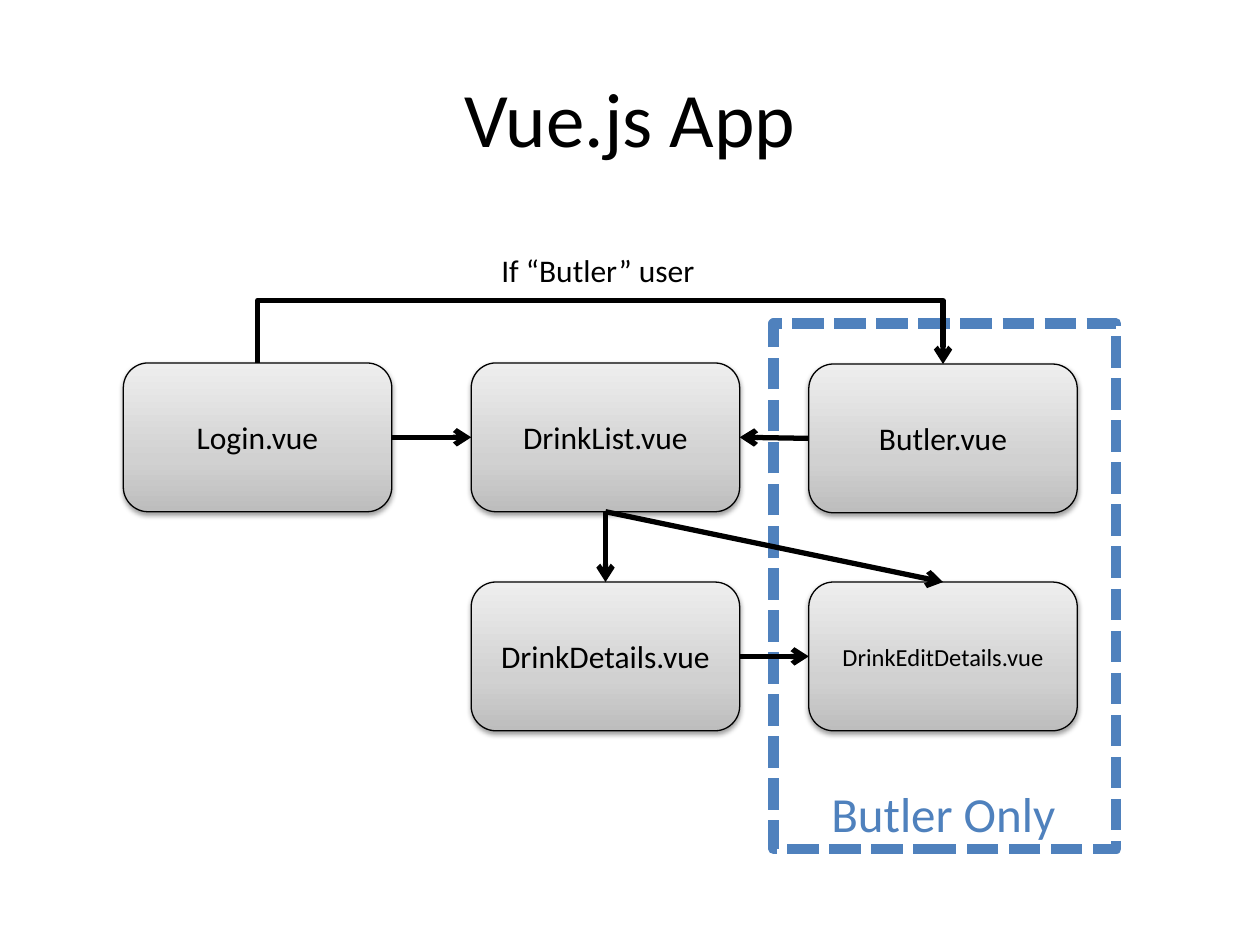
import dataclasses

import lxml.etree
import pptx
import pptx.dml.color
import pptx.enum.dml
import pptx.enum.shapes
import pptx.enum.text
import pptx.oxml.ns
import pptx.slide
import pptx.util

Pt = pptx.util.Pt
Shape = pptx.enum.shapes.MSO_SHAPE
Link = pptx.enum.shapes.MSO_CONNECTOR
Align = pptx.enum.text.PP_ALIGN
TOP, LEFT, BASE, RIGHT = range(4)  # connection sites of a box


def paint(code):
    return pptx.dml.color.RGBColor.from_string(code)


def add(node, tag, **attrs):
    """Append a drawing element and return it."""
    return lxml.etree.SubElement(node, pptx.oxml.ns.qn("a:" + tag), attrs)


@dataclasses.dataclass
class Chart:
    """The style and the current slide."""
    slide: pptx.slide.Slide
    font: str = "Calibri"
    ink: str = "000000"
    blue: str = "4F81BD"
    shades: tuple = ((0, "BDBDBD"), (35, "D1D1D1"), (100, "EEEEEE"))
    wide: float = 153.4
    high: float = 85

    def text(self, frame, words, size, color=None, align=Align.CENTER):
        para = frame.paragraphs[0]
        para.alignment = align
        run = para.add_run()
        run.text = words
        run.font.name = self.font
        run.font.size = Pt(size)
        run.font.color.rgb = paint(color or self.ink)

    def title(self, words):
        head = self.slide.shapes.title
        head.left, head.top, head.width, head.height = map(Pt, (36, 21.6, 648, 90))
        head.text_frame.vertical_anchor = pptx.enum.text.MSO_ANCHOR.MIDDLE
        self.text(head.text_frame, words, 44)

    def label(self, words, left, top, wide, high, size, color=None):
        box = self.slide.shapes.add_textbox(*map(Pt, (left, top, wide, high)))
        box.text_frame.word_wrap = False
        box.text_frame.auto_size = pptx.enum.text.MSO_AUTO_SIZE.SHAPE_TO_FIT_TEXT
        self.text(box.text_frame, words, size, color, Align.LEFT)

    def zone(self, left, top, wide, high):
        area = self.slide.shapes.add_shape(
            Shape.RECTANGLE, *map(Pt, (left, top, wide, high)))
        area.shadow.inherit = False
        area.fill.background()
        area.line.color.rgb = paint(self.blue)
        area.line.width = Pt(6)
        area.line.dash_style = pptx.enum.dml.MSO_LINE.SQUARE_DOT

    def box(self, words, left, top, size=18):
        node = self.slide.shapes.add_shape(
            Shape.ROUNDED_RECTANGLE, *map(Pt, (left, top, self.wide, self.high)))
        # Grey gradient, dark at the bottom
        node.fill.gradient()
        node.fill.gradient_angle = 90
        props = node._element.spPr
        stops = props.find(".//" + pptx.oxml.ns.qn("a:gsLst"))
        for stop in list(stops):
            stops.remove(stop)
        for place, shade in self.shades:
            stop = add(stops, "gs", pos=str(place * 1000))
            add(stop, "srgbClr", val=shade)
        node.line.color.rgb = paint(self.ink)
        node.line.width = Pt(0.75)
        # Soft shadow below
        node.shadow.inherit = False
        effects = props.find(pptx.oxml.ns.qn("a:effectLst"))
        cast = add(effects, "outerShdw", blurRad=str(Pt(3.1)), dist=str(Pt(1.6)),
                   dir="5400000", rotWithShape="0")
        add(add(cast, "srgbClr", val=self.ink), "alpha", val="38000")
        node.text_frame.word_wrap = True
        node.text_frame.vertical_anchor = pptx.enum.text.MSO_ANCHOR.MIDDLE
        self.text(node.text_frame, words, size)
        return node

    def arrow(self, start, exit_site, end, entry, kind=Link.STRAIGHT):
        line = self.slide.shapes.add_connector(kind, 0, 0, 0, 0)
        line.begin_connect(start, exit_site)
        line.end_connect(end, entry)
        line.line.color.rgb = paint(self.ink)
        line.line.width = Pt(3)
        add(line.line._ln, "tailEnd", type="arrow")
        add(line._element.spPr, "effectLst")
        return line

    def bridge(self, start, end, rise):
        """Link the tops of two boxes by a bent arrow that runs above them."""
        line = self.arrow(start, TOP, end, TOP, Link.ELBOW)
        span, drop = end.left - start.left, end.top - start.top
        mid = start.left + (start.width + span) // 2
        # The elbow is turned a quarter, so its width is the drop
        line.left, line.top = mid - drop // 2, start.top + (drop - span) // 2
        line.width, line.height = drop, span
        props = line._element.spPr
        props.xfrm.set("rot", "16200000")
        props.xfrm.set("flipH", "1")
        shape = props.find(pptx.oxml.ns.qn("a:prstGeom"))
        for old in list(shape):
            shape.remove(old)
        bend = round(-Pt(rise) / drop * 100000)
        add(add(shape, "avLst"), "gd", name="adj1", fmla=f"val {bend}")


deck = pptx.Presentation()
deck.slide_width, deck.slide_height = Pt(720), Pt(540)
chart = Chart(deck.slides.add_slide(deck.slide_layouts[5]))

# Area and title
chart.zone(442.1, 185, 195.8, 300.2)
chart.title("Vue.js App")

# Boxes
cols = (70.5, 269.3, 462.2)
rows = (207.4, 332.6)
login = chart.box("Login.vue", cols[0], rows[0])
drinks = chart.box("DrinkList.vue", cols[1], rows[0])
details = chart.box("DrinkDetails.vue", cols[1], rows[1])
edit = chart.box("DrinkEditDetails.vue", cols[2], rows[1], 14)
butler = chart.box("Butler.vue", cols[2], rows[0] + 0.6)

# Arrows
for ends in (
    (login, RIGHT, drinks, LEFT),
    (butler, LEFT, drinks, RIGHT),
    (drinks, BASE, details, TOP),
    (drinks, BASE, edit, TOP),
    (details, RIGHT, edit, LEFT),
):
    chart.arrow(*ends)
chart.bridge(login, butler, 36)

# Labels
chart.label("If “Butler” user", 279.4, 139.7, 126, 29, 18)
chart.label("Butler Only", 468, 444.2, 144, 41, 28, chart.blue)

deck.save("out.pptx")
